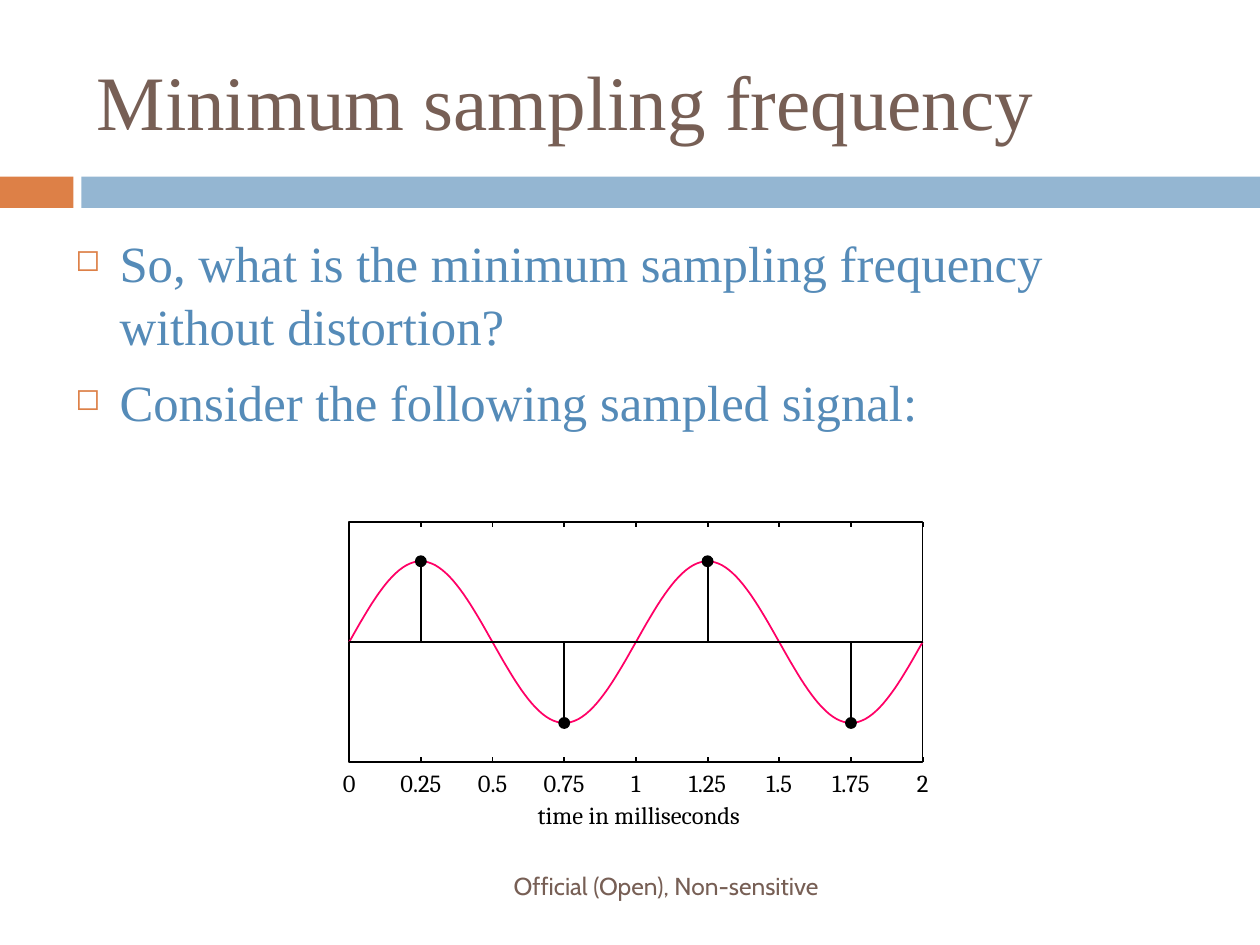
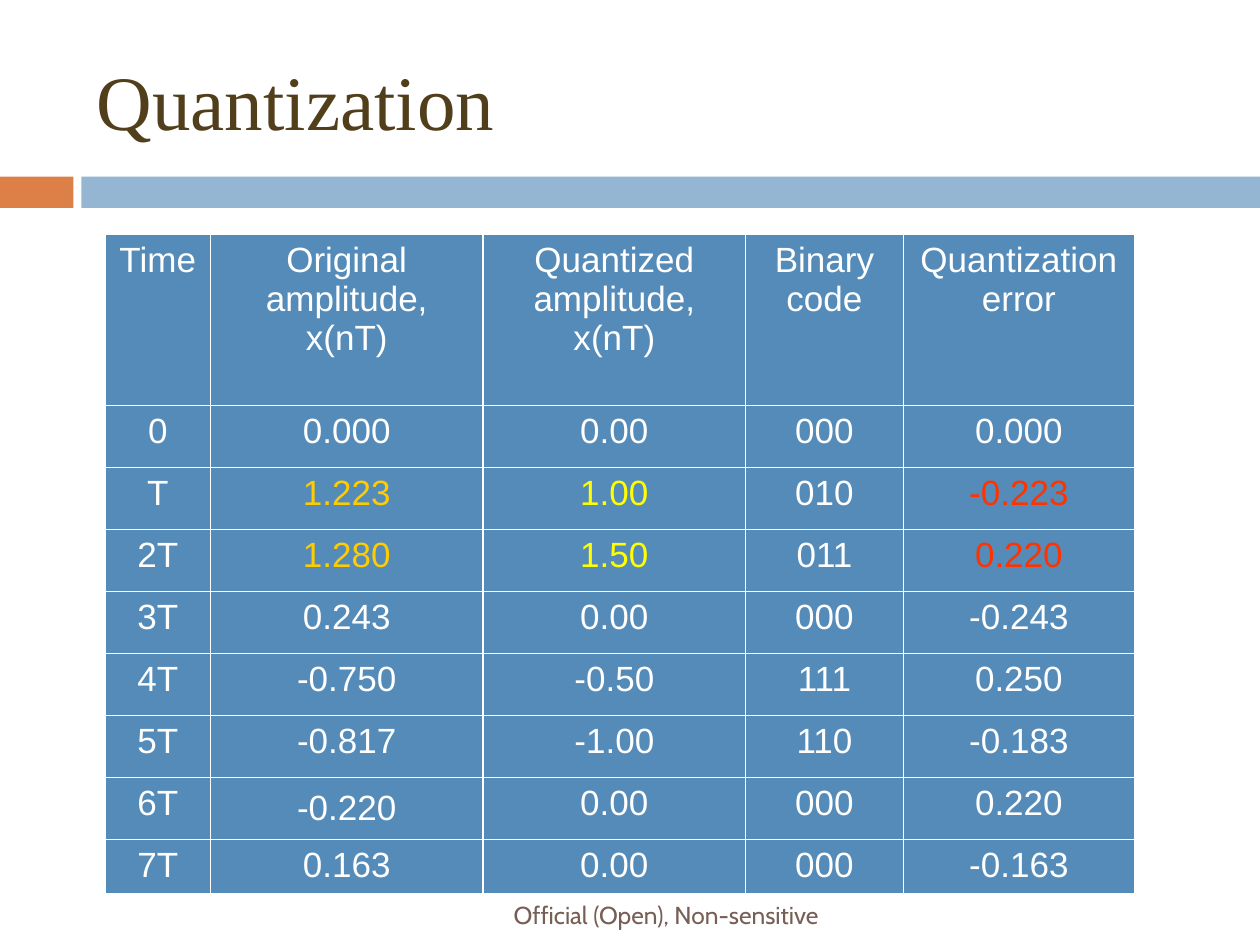
"""Build two signal sampling slides: a sampled sine wave and a quantization table."""
from math import pi, sin

from lxml import etree
from pptx import Presentation
from pptx.dml.color import RGBColor
from pptx.enum.shapes import MSO_CONNECTOR, MSO_SHAPE
from pptx.enum.text import MSO_ANCHOR, PP_ALIGN
from pptx.oxml.ns import qn
from pptx.util import Cm, Pt

RECTANGLE, OVAL = MSO_SHAPE.RECTANGLE, MSO_SHAPE.OVAL
STRAIGHT = MSO_CONNECTOR.STRAIGHT
TOP, MIDDLE = MSO_ANCHOR.TOP, MSO_ANCHOR.MIDDLE
LEFT, CENTER, RIGHT = PP_ALIGN.LEFT, PP_ALIGN.CENTER, PP_ALIGN.RIGHT
color = RGBColor.from_string

ORANGE, PALE_BLUE, BLUE = "DD8047", "94B6D2", "558BB8"
TAUPE, BROWN = "775F55", "513E1B"
BLACK, WHITE, PINK = "000000", "FFFFFF", "FF0066"
GOLD, YELLOW, RED = "FFCC00", "FFFF00", "FF3300"
SERIF, PLOT_FONT, TABLE_FONT, FOOTER_FONT = "Times New Roman", "Cambria", "Arial", "Cabin"


def add_text(slide, box, lines, font, size, hex_color, align=LEFT, anchor=TOP, inset=True):
    text_box = slide.shapes.add_textbox(*[Cm(length) for length in box])
    frame = text_box.text_frame
    frame.word_wrap = True
    frame.vertical_anchor = anchor
    if not inset:
        frame.margin_left = frame.margin_right = frame.margin_top = frame.margin_bottom = 0
    for number, line in enumerate(lines):
        paragraph = frame.add_paragraph() if number else frame.paragraphs[0]
        paragraph.alignment = align
        run = paragraph.add_run()
        run.text = line
        run.font.name = font
        run.font.size = Pt(size)
        run.font.color.rgb = color(hex_color)
    return frame


def add_line(slide, x1, y1, x2, y2):
    line = slide.shapes.add_connector(STRAIGHT, Cm(x1), Cm(y1), Cm(x2), Cm(y2))
    line.line.color.rgb = color(BLACK)
    line.line.width = Pt(1)
    etree.SubElement(line._element.spPr, qn("a:effectLst"))
    return line


presentation = Presentation()
presentation.slide_width = Cm(25.4)
presentation.slide_height = Cm(19.05)

slides = []
for title, title_color, footer_top in [
    ("Minimum sampling frequency", TAUPE, 17.35),
    ("Quantization", BROWN, 17.93),
]:
    slide = presentation.slides.add_slide(presentation.slide_layouts[6])
    for left, width, band_color in [(0, 1.48, ORANGE), (1.64, 23.76, PALE_BLUE)]:
        band = slide.shapes.add_shape(RECTANGLE, Cm(left), Cm(3.56), Cm(width), Cm(0.63))
        band.shadow.inherit = False
        band.fill.solid()
        band.fill.fore_color.rgb = color(band_color)
        band.line.fill.background()
    add_text(slide, (1.7, 0.64, 22.66, 2.74), [title], SERIF, 44, title_color, anchor=MIDDLE)
    add_text(slide, (1.7, footer_top, 15.06, 1.02), ["Official (Open), Non-sensitive"],
             FOOTER_FONT, 14, TAUPE, RIGHT, MIDDLE)
    slides.append(slide)

sampling_slide, quantization_slide = slides

questions = [
    "So, what is the minimum sampling frequency without distortion?",
    "Consider the following sampled signal:",
]
body = add_text(sampling_slide, (1.27, 4.5, 23.04, 4.88), questions, SERIF, 29, BLUE)
for number, paragraph in enumerate(body.paragraphs):
    paragraph.line_spacing = 1.04
    if number:
        paragraph.space_before = Pt(7)
    properties = paragraph._p.get_or_add_pPr()
    properties.set("marL", str(Cm(0.89)))
    properties.set("indent", str(-Cm(0.89)))
    bullet_color = etree.SubElement(properties, qn("a:buClr"))
    etree.SubElement(bullet_color, qn("a:srgbClr"), val=ORANGE)
    etree.SubElement(properties, qn("a:buSzPct"), val="60000")
    etree.SubElement(properties, qn("a:buChar"), char="◻")

plot_left, plot_top, plot_width, plot_height = 7.04, 10.52, 11.56, 4.85
plot_right, plot_bottom = plot_left + plot_width, plot_top + plot_height
axis_y = plot_top + plot_height / 2
amplitude, tick_length, dot_size = 1.63, 0.1, 0.24
tick_step = plot_width / 8

plot_frame = sampling_slide.shapes.add_shape(
    RECTANGLE, Cm(plot_left), Cm(plot_top), Cm(plot_width), Cm(plot_height))
plot_frame.shadow.inherit = False
plot_frame.fill.solid()
plot_frame.fill.fore_color.rgb = color(WHITE)
plot_frame.line.color.rgb = color(BLACK)
plot_frame.line.width = Pt(1)

for number in range(9):
    x = plot_left + number * tick_step
    add_line(sampling_slide, x, plot_bottom, x, plot_bottom - tick_length)
    add_line(sampling_slide, x, plot_top, x, plot_top + tick_length)
    add_text(sampling_slide, (x - 0.7, 15.49, 1.4, 0.69), [f"{number / 4:g}"],
             PLOT_FONT, 14, BLACK, CENTER, inset=False)
add_text(sampling_slide, (10.38, 16.13, 5, 0.69), ["time in milliseconds"],
         PLOT_FONT, 14, BLACK, CENTER, inset=False)

curve_steps = 160
curve_points = [
    (Cm(plot_left + plot_width * step / curve_steps),
     Cm(axis_y - amplitude * sin(4 * pi * step / curve_steps)))
    for step in range(curve_steps + 1)
]
builder = sampling_slide.shapes.build_freeform(*curve_points[0])
builder.add_line_segments(curve_points[1:], close=False)
curve = builder.convert_to_shape()
curve.shadow.inherit = False
curve.fill.background()
curve.line.color.rgb = color(PINK)
curve.line.width = Pt(1)

axis = add_line(sampling_slide, plot_left, axis_y, plot_right, axis_y)
axis.begin_connect(plot_frame, 1)
axis.end_connect(plot_frame, 3)

for number, sign in [(1, 1), (3, -1), (5, 1), (7, -1)]:
    x = plot_left + number * tick_step
    sample_y = axis_y - sign * amplitude
    add_line(sampling_slide, x, axis_y, x, sample_y)
    dot = sampling_slide.shapes.add_shape(
        OVAL, Cm(x - dot_size / 2), Cm(sample_y - dot_size / 2), Cm(dot_size), Cm(dot_size))
    dot.shadow.inherit = False
    dot.fill.solid()
    dot.fill.fore_color.rgb = color(BLACK)
    dot.line.fill.background()

rows = [
    ("Time", "Original amplitude, x(nT)", "Quantized amplitude, x(nT)", "Binary code",
     "Quantization error"),
    ("0", "0.000", "0.00", "000", "0.000"),
    ("T", "1.223", "1.00", "010", "-0.223"),
    ("2T", "1.280", "1.50", "011", "0.220"),
    ("3T", "0.243", "0.00", "000", "-0.243"),
    ("4T", "-0.750", "-0.50", "111", "0.250"),
    ("5T", "-0.817", "-1.00", "110", "-0.183"),
    ("6T", "-0.220", "0.00", "000", "0.220"),
    ("7T", "0.163", "0.00", "000", "-0.163"),
]
column_widths = [2.12, 5.5, 5.29, 3.18, 4.66]
row_heights = [3.45] + [1.25] * 7 + [1.1]
highlighted_rows = ("T", "2T")
highlights = [WHITE, GOLD, YELLOW, WHITE, RED]

table = quantization_slide.shapes.add_table(
    len(rows), len(column_widths), Cm(2.12), Cm(4.72),
    Cm(sum(column_widths)), Cm(sum(row_heights))).table
table.first_row = False
table.horz_banding = False
for column, width in zip(table.columns, column_widths):
    column.width = Cm(width)
for row, height in zip(table.rows, row_heights):
    row.height = Cm(height)

for row_number, values in enumerate(rows):
    for column_number, value in enumerate(values):
        cell = table.cell(row_number, column_number)
        cell_properties = cell._tc.get_or_add_tcPr()
        for side in ("a:lnL", "a:lnR", "a:lnT", "a:lnB"):
            border = etree.SubElement(cell_properties, qn(side), w=str(Pt(1)))
            border_fill = etree.SubElement(border, qn("a:solidFill"))
            etree.SubElement(border_fill, qn("a:srgbClr"), val=WHITE)
        cell.fill.solid()
        cell.fill.fore_color.rgb = color(BLUE)
        paragraph = cell.text_frame.paragraphs[0]
        paragraph.alignment = CENTER
        run = paragraph.add_run()
        run.text = value
        run.font.name = TABLE_FONT
        run.font.size = Pt(20)
        highlighted = values[0] in highlighted_rows
        run.font.color.rgb = color(highlights[column_number] if highlighted else WHITE)
table.cell(7, 1).vertical_anchor = MIDDLE

presentation.save("out.pptx")
